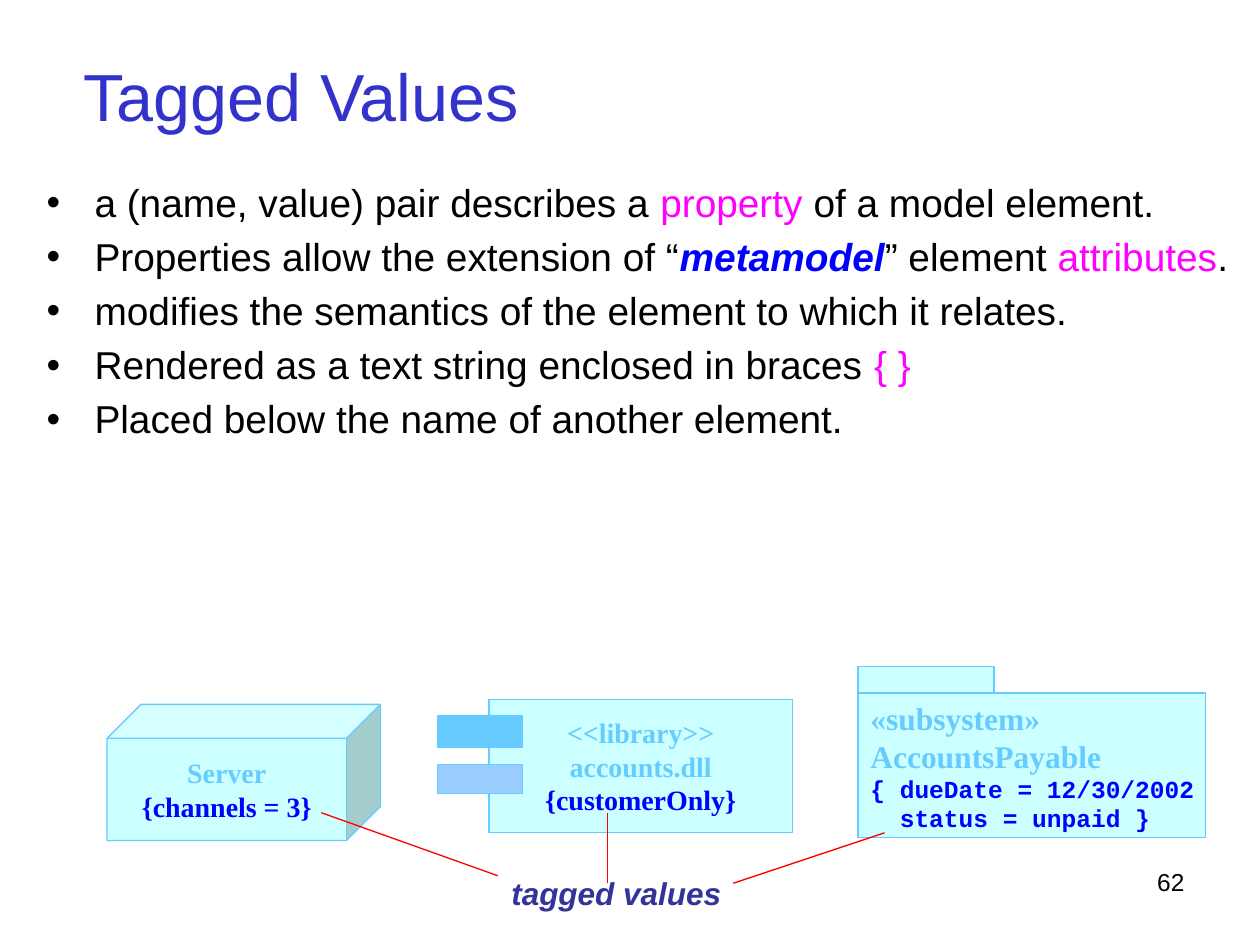
from pptx import Presentation
from pptx.dml.color import RGBColor
from pptx.enum.shapes import MSO_CONNECTOR as CONNECTOR, MSO_SHAPE as SHAPE
from pptx.enum.text import MSO_ANCHOR as ANCHOR, MSO_AUTO_SIZE as AUTO, PP_ALIGN as ALIGN
from pptx.oxml.ns import qn
from pptx.util import Inches, Pt

BLACK, BLUE, MAGENTA, RED = "000000", "0000FF", "FF00FF", "FF0000"
SKY, PALE, PERIWINKLE = "66CCFF", "CCFFFF", "99CCFF"
SERIF = "Times New Roman"


def rgb(value):
    return RGBColor.from_string(value)


def write(shape, lines, size, font, align=ALIGN.LEFT, anchor=ANCHOR.TOP,
          wrap=False, bold=False, italic=False):
    """Fill a shape with paragraphs, each given as (text, colour)."""
    frame = shape.text_frame
    frame.word_wrap = wrap
    frame.auto_size = AUTO.NONE
    frame.vertical_anchor = anchor
    for number, (text, color) in enumerate(lines):
        paragraph = frame.add_paragraph() if number else frame.paragraphs[0]
        paragraph.text = text
        paragraph.alignment = align
        paragraph.font.size = Pt(size)
        paragraph.font.name = font
        paragraph.font.bold = bold
        paragraph.font.italic = italic
        paragraph.font.color.rgb = rgb(color)


prs = Presentation()
prs.slide_width, prs.slide_height = Inches(10), Inches(7.5)
slide = prs.slides.add_slide(prs.slide_layouts[1])
shapes = slide.shapes

# Title
title = shapes.title
title.left, title.top, title.width, title.height = map(Inches, (0.27, 0.3, 4.24, 0.9))
write(title, [("Tagged Values", "3333CC")], 38, "Arial", ALIGN.CENTER, ANCHOR.MIDDLE, wrap=True)

# Bullet list: each bullet is a list of (text, colour) runs
bullets = [
    [("a (name, value) pair describes a ", BLACK), ("property", MAGENTA),
     (" of a model element.", BLACK)],
    [("Properties allow the extension of “", BLACK), ("metamodel", BLUE),
     ("” element ", BLACK), ("attributes", MAGENTA), (".", BLACK)],
    [("modifies the semantics of the element to which it relates.", BLACK)],
    [("Rendered as a text string enclosed in braces ", BLACK), ("{ }", MAGENTA)],
    [("Placed below the name of another element.", BLACK)],
]
body = slide.placeholders[1]
body.left, body.top, body.width, body.height = map(Inches, (0.27, 1.41, 9.6, 2.85))
body.text_frame.auto_size = AUTO.NONE
for number, bullet in enumerate(bullets):
    paragraph = body.text_frame.add_paragraph() if number else body.text_frame.paragraphs[0]
    properties = paragraph._p.get_or_add_pPr()
    properties.set("marL", str(Inches(0.38)))
    properties.set("indent", str(-Inches(0.38)))
    paragraph.line_spacing = 0.9
    paragraph.space_before = Pt(6.9 if number else 0)
    paragraph.font.size = Pt(22.2)
    paragraph.font.name = "Arial"
    for text, color in bullet:
        run = paragraph.add_run()
        run.text = text
        run.font.color.rgb = rgb(color)
        if color == BLUE:
            run.font.bold = run.font.italic = True

# Outlines of the server node, the library component and the subsystem package
outlines = [
    (SHAPE.CUBE, PALE, 0.85, 5.59, 2.17, 1.08),
    (SHAPE.RECTANGLE, PALE, 3.88, 5.55, 2.41, 1.06),
    (SHAPE.RECTANGLE, SKY, 3.47, 5.68, 0.68, 0.25),
    (SHAPE.RECTANGLE, PERIWINKLE, 3.47, 6.07, 0.68, 0.23),
    (SHAPE.RECTANGLE, PALE, 6.81, 5.29, 1.08, 0.21),
    (SHAPE.RECTANGLE, PALE, 6.81, 5.5, 2.76, 1.15),
]
drawn = []
for kind, fill, *place in outlines:
    outline = shapes.add_shape(kind, *map(Inches, place))
    outline.shadow.inherit = False
    outline.fill.solid()
    outline.fill.fore_color.rgb = rgb(fill)
    outline.line.color.rgb = rgb(SKY)
    outline.line.width = Pt(0.75)
    drawn.append(outline)
server, library, *_, subsystem = drawn

write(server, [("Server", SKY), ("{channels = 3}", BLUE)],
      16, SERIF, ALIGN.CENTER, ANCHOR.MIDDLE, bold=True)
write(library, [("<<library>>", SKY), ("accounts.dll", SKY), ("{customerOnly}", BLUE)],
      16, SERIF, ALIGN.CENTER, ANCHOR.MIDDLE, bold=True)
write(subsystem, [("«subsystem»", SKY), ("AccountsPayable", SKY)],
      18, SERIF, wrap=True, bold=True)

# Tagged values of the subsystem
due_date = shapes.add_textbox(*map(Inches, (6.81, 6.09, 2.77, 0.57)))
write(due_date, [("{ dueDate = 12/30/2002", BLUE), ("  status = unpaid }", BLUE)],
      14, "Courier New", bold=True)

# Caption with pointers to the three tagged values
caption = shapes.add_textbox(*map(Inches, (3.96, 6.89, 1.86, 0.4)))
write(caption, [("tagged values", "333399")], 18, "Arial", bold=True, italic=True)
for ends in [(3.95, 6.95, 2.55, 6.45), (4.82, 7.01, 4.82, 6.45), (5.82, 7.01, 7.02, 6.61)]:
    pointer = shapes.add_connector(CONNECTOR.STRAIGHT, *map(Inches, ends))
    pointer.line.color.rgb = rgb(RED)
    pointer.line.width = Pt(0.75)
    pointer._element.spPr.append(pointer._element.makeelement(qn("a:effectLst"), {}))

# Slide number
page = shapes.add_textbox(*map(Inches, (7.17, 6.83, 2.33, 0.52)))
write(page, [("62", BLACK)], 14, "Arial", ALIGN.RIGHT, wrap=True)

prs.save("out.pptx")
